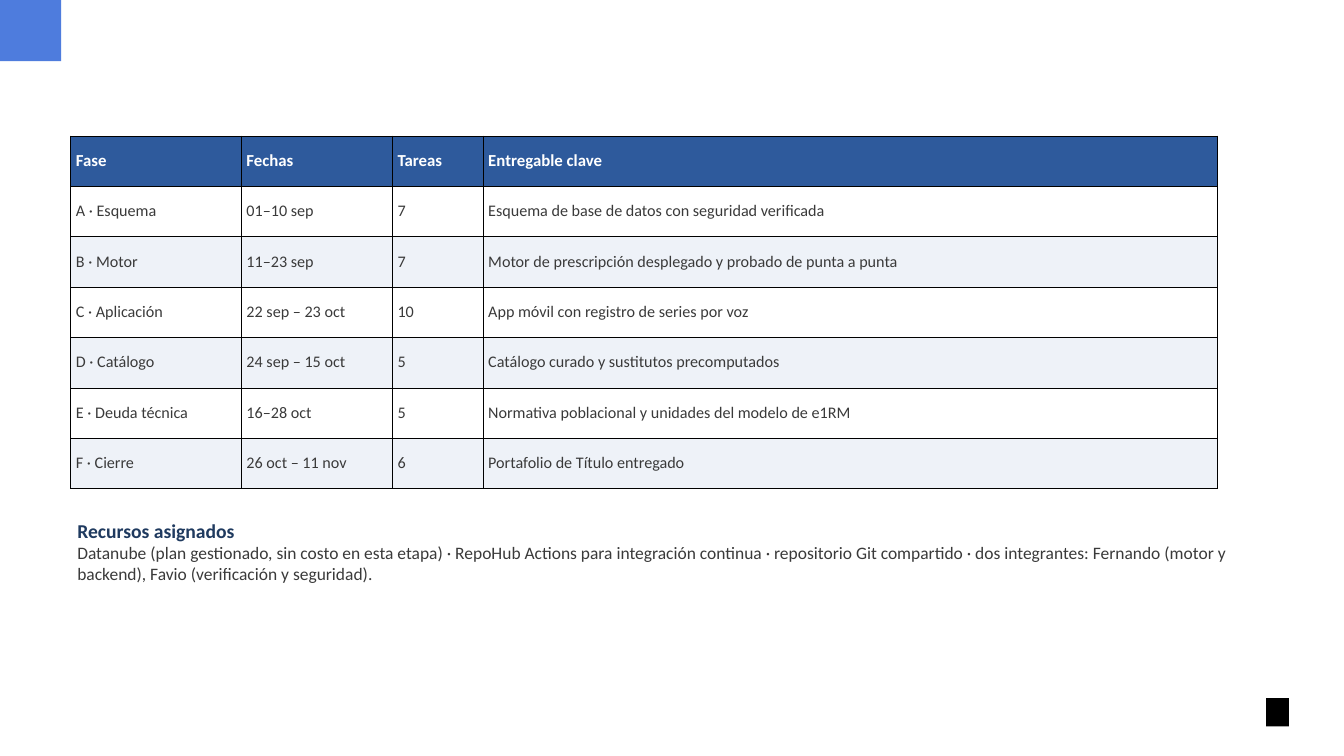
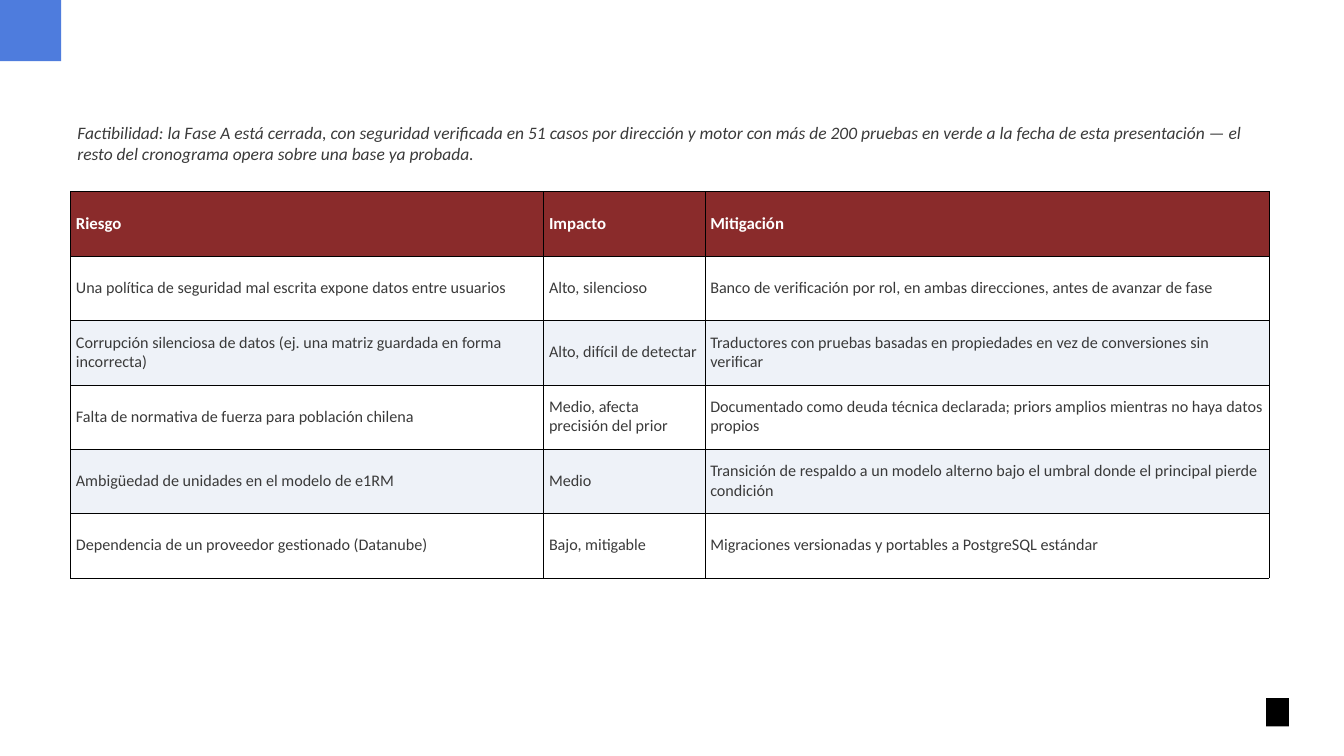
from dataclasses import dataclass

from lxml import etree
from pptx import Presentation
from pptx.dml.color import RGBColor
from pptx.enum.shapes import MSO_SHAPE
from pptx.enum.text import MSO_ANCHOR, MSO_AUTO_SIZE
from pptx.oxml.ns import qn
from pptx.util import Inches, Pt

RECTANGLE = MSO_SHAPE.RECTANGLE
MIDDLE = MSO_ANCHOR.MIDDLE
GROW = MSO_AUTO_SIZE.SHAPE_TO_FIT_TEXT

# Page grid: square cells, 20 columns by 11.25 rows
COLUMNS, ROWS = 20, 11.25
CELL = Inches(1)
TABLE_LEFT, TEXT_LEFT, TEXT_WIDTH = 1.05, 1.15, 17.65

FONT = "Calibri"
LEADING = 1.2
HEADER_SIZE, CELL_SIZE, HEADING_SIZE, NOTE_SIZE = 18, 17.25, 21, 18.75
CELL_MARGIN = 0.08
BORDER_WIDTH = Pt(0.37)

ACCENT = RGBColor(0x4E, 0x7C, 0xDD)
BLACK = RGBColor(0, 0, 0)
WHITE = RGBColor(0xFF, 0xFF, 0xFF)
BAND = RGBColor(0xEE, 0xF2, 0xF8)
INK = RGBColor(0x3A, 0x3A, 0x3A)
NAVY = RGBColor(0x1F, 0x3A, 0x5F)
BLUE = RGBColor(0x2E, 0x5A, 0x9C)
RED = RGBColor(0x8A, 0x2B, 0x2B)

PHASE_COLUMNS = (2.54, 2.25, 1.35, 10.93)
PHASES = (
    ("Fase", "Fechas", "Tareas", "Entregable clave"),
    ("A · Esquema", "01–10 sep", "7", "Esquema de base de datos con seguridad verificada"),
    ("B · Motor", "11–23 sep", "7", "Motor de prescripción desplegado y probado de punta a punta"),
    ("C · Aplicación", "22 sep – 23 oct", "10", "App móvil con registro de series por voz"),
    ("D · Catálogo", "24 sep – 15 oct", "5", "Catálogo curado y sustitutos precomputados"),
    ("E · Deuda técnica", "16–28 oct", "5", "Normativa poblacional y unidades del modelo de e1RM"),
    ("F · Cierre", "26 oct – 11 nov", "6", "Portafolio de Título entregado"),
)
RESOURCES = (
    "Datanube (plan gestionado, sin costo en esta etapa) · RepoHub Actions para "
    "integración continua · repositorio Git compartido · dos integrantes: Fernando "
    "(motor y backend), Favio (verificación y seguridad)."
)

RISK_COLUMNS = (7.04, 2.4, 8.39)
RISKS = (
    ("Riesgo", "Impacto", "Mitigación"),
    ("Una política de seguridad mal escrita expone datos entre usuarios",
     "Alto, silencioso",
     "Banco de verificación por rol, en ambas direcciones, antes de avanzar de fase"),
    ("Corrupción silenciosa de datos (ej. una matriz guardada en forma incorrecta)",
     "Alto, difícil de detectar",
     "Traductores con pruebas basadas en propiedades en vez de conversiones sin verificar"),
    ("Falta de normativa de fuerza para población chilena",
     "Medio, afecta precisión del prior",
     "Documentado como deuda técnica declarada; priors amplios mientras no haya datos propios"),
    ("Ambigüedad de unidades en el modelo de e1RM",
     "Medio",
     "Transición de respaldo a un modelo alterno bajo el umbral donde el principal pierde condición"),
    ("Dependencia de un proveedor gestionado (Datanube)",
     "Bajo, mitigable",
     "Migraciones versionadas y portables a PostgreSQL estándar"),
)
FEASIBILITY = (
    "Factibilidad: la Fase A está cerrada, con seguridad verificada en 51 casos por "
    "dirección y motor con más de 200 pruebas en verde a la fecha de esta presentación "
    "— el resto del cronograma opera sobre una base ya probada."
)


@dataclass
class Box:
    """Area of the page, in grid columns and rows."""
    left: float
    top: float
    width: float
    height: float

    def place(self):
        return [round(n * CELL) for n in (self.left, self.top, self.width, self.height)]


def write(para, text, size, color, bold=False, italic=False):
    para.text = text
    para.line_spacing = Pt(size * LEADING)
    font = para.font
    font.name, font.size = FONT, Pt(size)
    font.bold, font.italic = bold, italic
    font.color.rgb = color


def add_block(page, box, color):
    block = page.shapes.add_shape(RECTANGLE, *box.place())
    block.shadow.inherit = False
    block.fill.solid()
    block.fill.fore_color.rgb = color
    block.line.fill.background()


def add_text(page, box, paragraphs):
    frame = page.shapes.add_textbox(*box.place()).text_frame
    frame.word_wrap = True
    frame.auto_size = GROW
    frame.margin_left = frame.margin_right = frame.margin_top = frame.margin_bottom = 0
    for index, style in enumerate(paragraphs):
        para = frame.add_paragraph() if index else frame.paragraphs[0]
        write(para, **style)


def add_borders(cell):
    properties = cell._tc.get_or_add_tcPr()
    for side in ("a:lnL", "a:lnR", "a:lnT", "a:lnB"):
        line = etree.SubElement(properties, qn(side), w=str(BORDER_WIDTH))
        fill = etree.SubElement(line, qn("a:solidFill"))
        etree.SubElement(fill, qn("a:srgbClr"), val=str(BLACK))


def add_grid_table(page, box, records, widths, header_color):
    table = page.shapes.add_table(len(records), len(widths), *box.place()).table
    table.horz_banding = False
    for column, width in zip(table.columns, widths):
        column.width = round(box.width * CELL * width / sum(widths))
    for index, (row, record) in enumerate(zip(table.rows, records)):
        row.height = round(box.height * CELL / len(records))
        for cell, text in zip(row.cells, record):
            add_borders(cell)
            cell.vertical_anchor = MIDDLE
            cell.margin_left = cell.margin_right = Inches(CELL_MARGIN)
            cell.margin_top = cell.margin_bottom = Inches(CELL_MARGIN)
            cell.fill.solid()
            para = cell.text_frame.paragraphs[0]
            if index == 0:
                cell.fill.fore_color.rgb = header_color
                write(para, text, HEADER_SIZE, WHITE, bold=True)
            else:
                cell.fill.fore_color.rgb = WHITE if index % 2 else BAND
                write(para, text, CELL_SIZE, INK)


def add_page(deck):
    page = deck.slides.add_slide(deck.slide_layouts[6])
    # Corner square and footer mark
    add_block(page, Box(0, 0, 0.91, 0.91), ACCENT)
    add_block(page, Box(18.84, 10.39, 0.34, 0.42), BLACK)
    return page


def add_schedule_page(deck):
    page = add_page(deck)
    add_grid_table(page, Box(TABLE_LEFT, 2.02, 17.06, 5.25), PHASES, PHASE_COLUMNS, BLUE)
    # Resources under the schedule
    add_text(page, Box(TEXT_LEFT, 7.72, TEXT_WIDTH, 2.8), [
        dict(text="Recursos asignados", size=HEADING_SIZE, color=NAVY, bold=True),
        dict(text=RESOURCES, size=NOTE_SIZE, color=INK),
    ])


def add_risk_page(deck):
    page = add_page(deck)
    # Feasibility statement above the risks
    add_text(page, Box(TEXT_LEFT, 1.81, TEXT_WIDTH, 0.77), [
        dict(text=FEASIBILITY, size=NOTE_SIZE, color=INK, italic=True),
    ])
    add_grid_table(page, Box(TABLE_LEFT, 2.85, 17.83, 5.75), RISKS, RISK_COLUMNS, RED)


def main():
    deck = Presentation()
    deck.slide_width, deck.slide_height = COLUMNS * CELL, round(ROWS * CELL)
    add_schedule_page(deck)
    add_risk_page(deck)
    deck.save("out.pptx")


if __name__ == "__main__":
    main()
